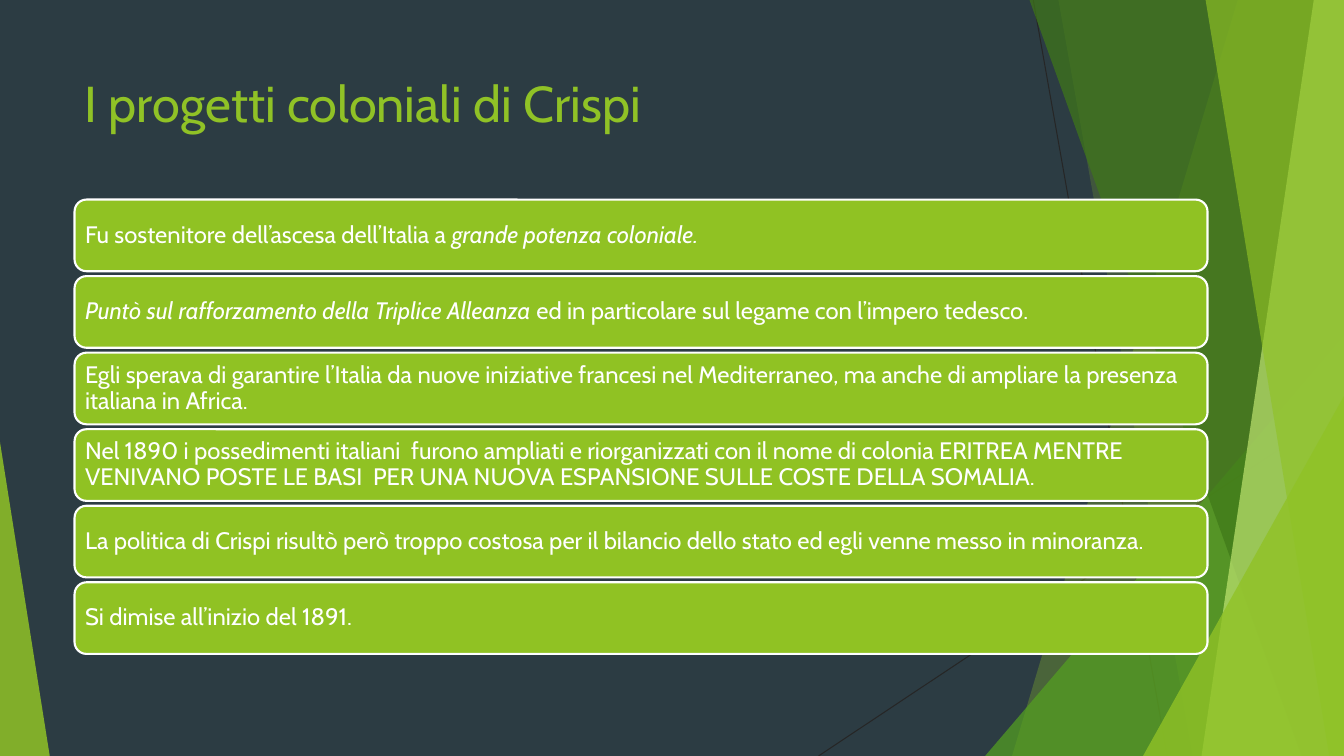
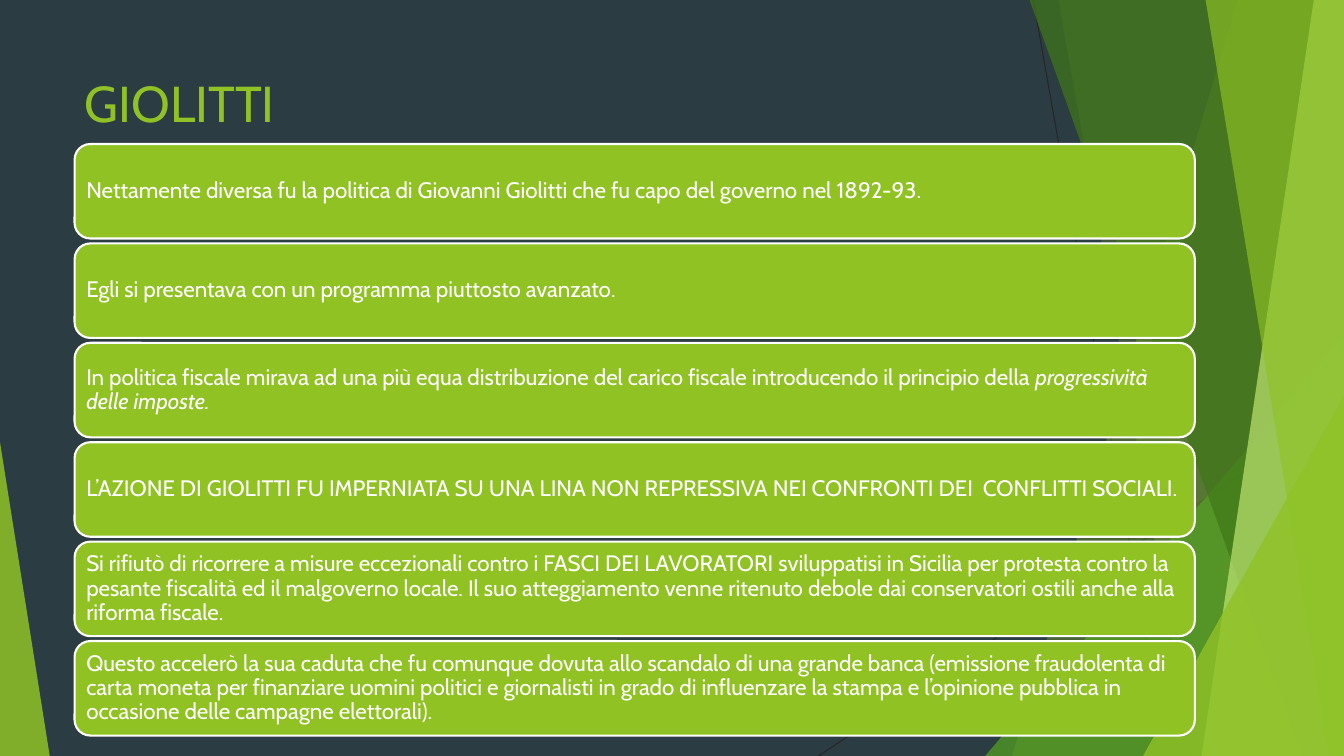
from lxml import etree
from pptx import Presentation
from pptx.dml.color import RGBColor
from pptx.enum.shapes import MSO_CONNECTOR, MSO_SHAPE
from pptx.enum.text import MSO_ANCHOR, PP_ALIGN
from pptx.oxml.ns import qn
from pptx.util import Inches, Pt

STRAIGHT = MSO_CONNECTOR.STRAIGHT
TRIANGLE = MSO_SHAPE.ISOSCELES_TRIANGLE
ROUNDED = MSO_SHAPE.ROUNDED_RECTANGLE
TOP, MIDDLE = MSO_ANCHOR.TOP, MSO_ANCHOR.MIDDLE
LEFT = PP_ALIGN.LEFT

WIDTH, HEIGHT = Inches(13.33), Inches(7.5)
FONT = "Cabin"
NIGHT, INK, WHITE = "2C3C43", "262626", "FFFFFF"
LIME, CARD, GREEN, FOREST, PALE = "90C226", "90C223", "54A021", "3F7818", "BFE471"
CARD_GAP = 0.65

RAYS = [(76.88, 0, 86.85, 100), (100, 53.75, 60.9, 100)]
BACK_FACETS = [(92.1, 75.3, LIME, 30), (78.75, 88.75, LIME, 20)]
FRONT_FACETS = [(76.6, 96.85, FOREST, 70), (97.75, 89.4, PALE, 70), (89.7, 98.9, LIME, 65)]
BACK_CORNERS = [((73.3, 44.4, 26.7, 55.6), 1, GREEN, 72)]
FRONT_CORNERS = [((85.05, 52.4, 14.95, 47.6), 1, LIME, 80), ((0, 58.5, 3.7, 41.5), 0, LIME, 85)]

SLIDES = [
    {
        "title": "I progetti coloniali di Crispi",
        "title_box": (5.55, 8.9, 70.5, 13.3),
        "cards_box": (5.55, 26.4, 84.3, 60.1),
        "size": 17,
        "cards": [
            [("Fu sostenitore dell’ascesa dell’Italia a ", False), ("grande potenza coloniale.", True)],
            [("Puntò sul rafforzamento della Triplice Alleanza ", True),
             ("ed in particolare sul legame con l’impero tedesco.", False)],
            [("Egli sperava di garantire l’Italia da nuove iniziative francesi nel Mediterraneo, "
              "ma anche di ampliare la presenza italiana in Africa.", False)],
            [("Nel 1890 i possedimenti italiani  furono ampliati e riorganizzati con il nome di colonia "
              "ERITREA MENTRE VENIVANO POSTE LE BASI  PER UNA NUOVA ESPANSIONE SULLE COSTE DELLA SOMALIA.",
              False)],
            [("La politica di Crispi risultò però troppo costosa per il bilancio dello stato "
              "ed egli venne messo in minoranza.", False)],
            [("Si dimise all’inizio del 1891.", False)],
        ],
    },
    {
        "title": "GIOLITTI",
        "title_box": (5.55, 8.9, 70.5, 19.2),
        "cards_box": (5.55, 19.05, 83.35, 78.25),
        "size": 16,
        "cards": [
            [("Nettamente diversa fu la politica di Giovanni Giolitti che fu capo del governo nel 1892-93.",
              False)],
            [("Egli si presentava con un programma piuttosto avanzato.", False)],
            [("In politica fiscale mirava ad una più equa distribuzione del carico fiscale "
              "introducendo il principio della ", False), ("progressività delle imposte.", True)],
            [("L’AZIONE DI GIOLITTI FU IMPERNIATA SU UNA LINA NON REPRESSIVA NEI CONFRONTI DEI  "
              "CONFLITTI SOCIALI.", False)],
            [("Si rifiutò di ricorrere a misure eccezionali contro i FASCI DEI LAVORATORI sviluppatisi "
              "in Sicilia per protesta contro la pesante fiscalità ed il malgoverno locale. "
              "Il suo atteggiamento venne ritenuto debole dai conservatori ostili anche alla "
              "riforma fiscale.", False)],
            [("Questo accelerò la sua caduta che fu comunque dovuta allo scandalo di una grande banca "
              "(emissione fraudolenta di carta moneta per finanziare uomini politici e giornalisti "
              "in grado di influenzare la stampa e l’opinione pubblica in occasione delle campagne "
              "elettorali).", False)],
        ],
    },
]


def across(percent):
    """Turn a percentage of the slide width into a length."""
    return round(WIDTH * percent / 100)


def down(percent):
    """Turn a percentage of the slide height into a length."""
    return round(HEIGHT * percent / 100)


def place(box):
    """Turn a box in percentages into left, top, width and height."""
    left, top, width, height = box
    return across(left), down(top), across(width), down(height)


def paint(color_format, color):
    """Set a colour format from a hex string."""
    color_format.rgb = RGBColor.from_string(color)


def fill_shape(shape, color, opacity=100):
    """Give a shape a flat fill without a shadow."""
    shape.shadow.inherit = False
    shape.fill.solid()
    paint(shape.fill.fore_color, color)
    if opacity < 100:
        color_element = shape.element.spPr.find(qn("a:solidFill"))[0]
        etree.SubElement(color_element, qn("a:alpha"), val=str(opacity * 1000))


def format_run(run, size, color, italic=False):
    """Set the font of a run."""
    run.font.name = FONT
    run.font.size = Pt(size)
    run.font.italic = italic
    paint(run.font.color, color)


def add_ray(shapes, start_x, start_y, end_x, end_y):
    """Draw one thin line of the backdrop."""
    ray = shapes.add_connector(STRAIGHT, across(start_x), down(start_y), across(end_x), down(end_y))
    ray.line.width = Pt(0.75)
    paint(ray.line.color, INK)
    etree.SubElement(ray.element.spPr, qn("a:effectLst"))


def add_facet(shapes, top_x, bottom_x, color, opacity):
    """Draw a full-height facet from a slanted edge to the right border."""
    builder = shapes.build_freeform(across(top_x), 0)
    builder.add_line_segments([(WIDTH, 0), (WIDTH, HEIGHT), (across(bottom_x), HEIGHT)])
    facet = builder.convert_to_shape()
    fill_shape(facet, color, opacity)
    facet.line.fill.background()


def add_corner(shapes, box, apex, color, opacity):
    """Draw a corner triangle with its apex at a share of its width."""
    corner = shapes.add_shape(TRIANGLE, *place(box))
    corner.adjustments[0] = apex
    fill_shape(corner, color, opacity)
    corner.line.fill.background()


def add_backdrop(layout, slide):
    """Build the shared backdrop and hand it to the layout."""
    layout.background.fill.solid()
    paint(layout.background.fill.fore_color, NIGHT)
    group = slide.shapes.add_group_shape()
    for ray in RAYS:
        add_ray(group.shapes, *ray)
    for facets, corners in ((BACK_FACETS, BACK_CORNERS), (FRONT_FACETS, FRONT_CORNERS)):
        for facet in facets:
            add_facet(group.shapes, *facet)
        for corner in corners:
            add_corner(group.shapes, *corner)
    layout.shapes.element.append(group.element)


def add_title(slide, box, text):
    """Move, fill and format the title placeholder."""
    title = slide.shapes.title
    title.left, title.top, title.width, title.height = place(box)
    text_frame = title.text_frame
    text_frame.text = text
    text_frame.word_wrap = True
    text_frame.vertical_anchor = TOP
    paragraph = text_frame.paragraphs[0]
    paragraph.alignment = LEFT
    format_run(paragraph.runs[0], 36, LIME)


def add_card(slide, box, runs, size):
    """Draw one rounded card with its text."""
    card = slide.shapes.add_shape(ROUNDED, *place(box))
    fill_shape(card, CARD)
    paint(card.line.color, WHITE)
    card.line.width = Pt(1.5)
    text_frame = card.text_frame
    text_frame.word_wrap = True
    text_frame.vertical_anchor = MIDDLE
    text_frame.margin_left = text_frame.margin_right = Inches(0.07)
    text_frame.margin_top = text_frame.margin_bottom = Inches(0.07)
    paragraph = text_frame.paragraphs[0]
    paragraph.alignment = LEFT
    paragraph.line_spacing = 0.9
    for text, italic in runs:
        run = paragraph.add_run()
        run.text = text
        format_run(run, size, WHITE, italic)


def add_card_stack(slide, box, cards, size):
    """Share a box between equal cards, one below the other."""
    left, top, width, height = box
    pitch = (height + CARD_GAP) / len(cards)
    for row, runs in enumerate(cards):
        add_card(slide, (left, top + row * pitch, width, pitch - CARD_GAP), runs, size)


def main():
    """Build and save the presentation."""
    presentation = Presentation()
    presentation.slide_width, presentation.slide_height = WIDTH, HEIGHT
    layout = presentation.slide_layouts.get_by_name("Title Only")
    for number, content in enumerate(SLIDES):
        slide = presentation.slides.add_slide(layout)
        if number == 0:
            add_backdrop(layout, slide)
        add_title(slide, content["title_box"], content["title"])
        add_card_stack(slide, content["cards_box"], content["cards"], content["size"])
    presentation.save("out.pptx")


if __name__ == "__main__":
    main()
